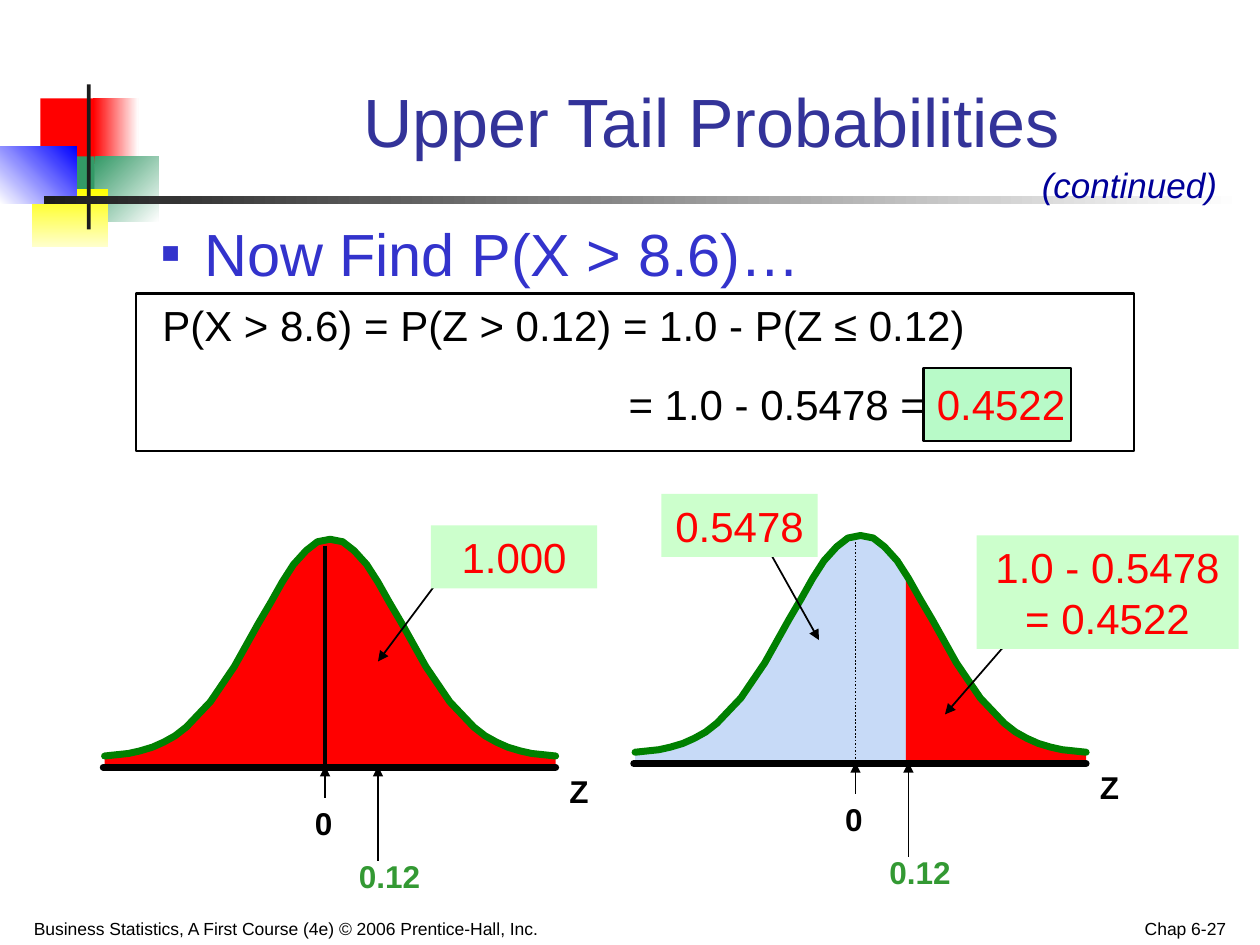
"""Build the Upper Tail Probabilities slide with two shaded normal curves."""
from lxml import etree
from pptx import Presentation
from pptx.dml.color import RGBColor
from pptx.enum import dml, shapes, text
from pptx.oxml.ns import qn
from pptx.util import Inches, Pt

COLORS = {
    "black": "000000", "white": "FFFFFF", "ink": "1C1C1C", "red": "FF0000",
    "green": "339966", "yellow": "FFFF00", "cream": "FFFFCC", "blue": "0000FF",
    "title": "333399", "bullet": "3333CC", "navy": "000099", "curve": "008000",
    "score": "339933", "sky": "C7DAF7", "mint": "CCFFCC", "result": "B8FAC8",
}
TITLE = "Upper Tail Probabilities"
QUESTION = "Now Find P(X > 8.6)…"
ORNAMENT = [
    ((0.32, 0.78, 0.48, 0.52), ("red",), 0),
    ((0.74, 0.78, 0.36, 0.52), ("red", "white"), 0),
    ((0.75, 1.24, 0.51, 0.52), ("green", "white"), 45),
    ((0.43, 1.24, 0.32, 0.52), ("green",), 0),
    ((0.25, 1.5, 0.61, 0.46), ("yellow", "cream"), 90),
    ((0, 1.16, 0.61, 0.46), ("white", "blue"), 315),
    ((0.69, 0.67, 0.03, 1.15), ("ink",), 0),
    ((0.35, 1.56, 9.51, 0.06), ("ink", "white"), 0),
]
WORKING = [
    (0.27, [("P(X > 8.6) = P(Z > 0.12) = 1.0 - P(Z ≤ 0.12)", "black")]),
    (3.97, [("= 1.0 - 0.5478 = ", "black"), ("0.4522", "red")]),
]
HALF_BELL = [
    (0, 0), (0.1, 0.02), (0.19, 0.09), (0.29, 0.2), (0.38, 0.34), (0.47, 0.5),
    (0.57, 0.67), (0.76, 1.01), (0.95, 1.29), (1.14, 1.49), (1.23, 1.56),
    (1.32, 1.61), (1.41, 1.65), (1.51, 1.68), (1.6, 1.7), (1.79, 1.72),
]
BELL = [(-x, y) for x, y in HALF_BELL[:0:-1]] + HALF_BELL
BASE, MEAN, SCORE, CUT, END = 1.81, -0.04, 0.38, 0.36, 1.79
GRAPHS = [
    {"peak": (2.62, 4.28), "areas": [(-END, END, "red")], "mean": (2.5, None),
     "callouts": [("1.000", (3.42, 4.17, 1.32, 0.5), (3.5, 4.58), (3, 5.25))]},
    {"peak": (6.83, 4.25), "areas": [(-END, CUT, "sky"), (CUT, END, "red")],
     "mean": (1, dml.MSO_LINE.ROUND_DOT),
     "callouts": [
         ("0.5478", (5.25, 3.92, 1.24, 0.5), (6.08, 4.33), (6.5, 5.08)),
         ("1.0 - 0.5478 = 0.4522", (7.75, 4.25, 2.08, 0.9), (8.08, 5), (7.5, 5.67))]},
]
AXIS_ARROWS = [(MEAN, 2.05), (SCORE, 2.55)]
AXIS_LABELS = [
    ("Z", (1.8, 1.8, 0.42, 0.4), "black"),
    ("0", (-0.22, 2.05, 0.34, 0.4), "black"),
    ("0.12", (0.13, 2.47, 0.69, 0.4), "score"),
]

deck = Presentation()
deck.slide_width, deck.slide_height = Inches(10), Inches(7.5)
slide = deck.slides.add_slide(deck.slide_layouts[1])


def rgb(name):
    return RGBColor.from_string(COLORS[name])


def style(paragraph, size, color, bold=False, italic=False):
    font = paragraph.font
    font.name, font.size, font.bold, font.italic = "Arial", Pt(size), bold, italic
    font.color.rgb = rgb(color)


def place(shape, box):
    shape.left, shape.top, shape.width, shape.height = map(Inches, box)


def prepare(frame, anchor=text.MSO_ANCHOR.TOP):
    frame.word_wrap, frame.vertical_anchor = True, anchor
    frame.auto_size = text.MSO_AUTO_SIZE.NONE
    return frame.paragraphs[0]


def label(words, box, size, color, align=text.PP_ALIGN.LEFT,
          anchor=text.MSO_ANCHOR.TOP, **look):
    paragraph = prepare(slide.shapes.add_textbox(*map(Inches, box)).text_frame, anchor)
    paragraph.text, paragraph.alignment = words, align
    style(paragraph, size, color, **look)


def paint(shape, fill=None, line=None, width=1):
    shape.shadow.inherit = False
    if fill:
        shape.fill.solid()
        shape.fill.fore_color.rgb = rgb(fill)
    else:
        shape.fill.background()
    if line:
        shape.line.color.rgb = rgb(line)
        shape.line.width = Pt(width)
    else:
        shape.line.fill.background()
    return shape


def rectangle(box, **look):
    kind = shapes.MSO_SHAPE.RECTANGLE
    return paint(slide.shapes.add_shape(kind, *map(Inches, box)), **look)


def outline(points, close, **look):
    corners = [(Inches(x), Inches(y)) for x, y in points]
    builder = slide.shapes.build_freeform(*corners[0])
    builder.add_line_segments(corners[1:], close=close)
    return paint(builder.convert_to_shape(), **look)


def line(start, end, width=1, arrow=False, dash=None):
    rule = slide.shapes.add_connector(
        shapes.MSO_CONNECTOR.STRAIGHT, *map(Inches, start + end))
    rule.line.color.rgb, rule.line.width = rgb("black"), Pt(width)
    if dash:
        rule.line.dash_style = dash
    if arrow:
        etree.SubElement(rule.get_or_add_ln(), qn("a:tailEnd"), type="triangle")
    etree.SubElement(rule.get_or_add_ln().getparent(), qn("a:effectLst"))
    return rule


def bell_height(at):
    for (x1, y1), (x2, y2) in zip(BELL, BELL[1:]):
        if x1 <= at <= x2:
            return y1 + (y2 - y1) * (at - x1) / (x2 - x1)


def draw_graph(graph):
    left, top = graph["peak"]

    def shift(points):
        return [(left + x, top + y) for x, y in points]

    for start, end, color in graph["areas"]:
        inside = [point for point in BELL if start < point[0] < end]
        edge = [(start, BASE), (start, bell_height(start)), *inside,
                (end, bell_height(end)), (end, BASE)]
        outline(shift(edge), True, fill=color)
    width, dash = graph["mean"]
    line(*shift([(MEAN, 0.05), (MEAN, BASE)]), width, dash=dash)
    curve = outline(shift(BELL), False, line="curve", width=4)
    axis = line(*shift([(-1.8, BASE), (END, BASE)]), 4)
    for stroke in (curve, axis):
        stroke.get_or_add_ln().set("cap", "rnd")
    for x, y in AXIS_ARROWS:
        line(*shift([(x, y), (x, 1.8)]), arrow=True)
    for words, (x, y, w, h), color in AXIS_LABELS:
        label(words, (left + x, top + y, w, h), 18, color, bold=True)
    for words, box, start, end in graph["callouts"]:
        line(start, end, arrow=True)
        paragraph = prepare(rectangle(box, fill="mint").text_frame)
        paragraph.text, paragraph.alignment = words, text.PP_ALIGN.CENTER
        style(paragraph, 24, "red")


title, question = slide.shapes.title, slide.placeholders[1]
place(title, (1.97, 0.25, 7.36, 1.08))
heading = prepare(title.text_frame, text.MSO_ANCHOR.BOTTOM)
heading.text, heading.alignment = TITLE, text.PP_ALIGN.CENTER
style(heading, 39, "title")

place(question, (1.17, 1.67, 5.75, 0.75))
item = prepare(question.text_frame)
item.text, item.space_before = QUESTION, Pt(0)
props = item._p.get_or_add_pPr()
props.set("marL", str(Inches(0.35)))
props.set("indent", str(-Inches(0.35)))
bullet_color = etree.SubElement(props, qn("a:buClr"))
etree.SubElement(bullet_color, qn("a:srgbClr"), val=COLORS["bullet"])
etree.SubElement(props, qn("a:buFont"), typeface="Arial")
etree.SubElement(props, qn("a:buChar"), char="▪")
style(item, 34, "bullet")

for box, tones, angle in ORNAMENT:
    block = rectangle(box, fill=tones[0])
    if len(tones) == 2:
        block.fill.gradient()
        block.fill.gradient_angle = (360 - angle) % 360
        for stop, tone in zip(block.fill.gradient_stops, tones):
            stop.color.rgb = rgb(tone)

label("(continued)", (8.17, 1.25, 1.67, 0.44), 20, "navy", italic=True)
rectangle((1.08, 2.33, 7.92, 1.25), line="black", width=1.5)
rectangle((7.33, 2.92, 1.17, 0.58), fill="result", line="black", width=1.5)
working = slide.shapes.add_textbox(*map(Inches, (0.92, 2.33, 8.42, 1.11))).text_frame
prepare(working)
for row, (indent, parts) in enumerate(WORKING):
    step = working.add_paragraph() if row else working.paragraphs[0]
    step._p.get_or_add_pPr().set("marL", str(Inches(indent)))
    if row:
        step.space_before = Pt(16)
    style(step, 24, "black")
    for words, color in parts:
        run = step.add_run()
        run.text, run.font.color.rgb = words, rgb(color)

for graph in GRAPHS:
    draw_graph(graph)

label("Business Statistics, A First Course (4e) © 2006 Prentice-Hall, Inc.",
      (0.17, 7.15, 5.08, 0.35), 10, "black", anchor=text.MSO_ANCHOR.BOTTOM)
label("Chap 6-27", (7.5, 7.15, 2.33, 0.35), 10, "black",
      text.PP_ALIGN.RIGHT, text.MSO_ANCHOR.BOTTOM)
deck.save("out.pptx")
